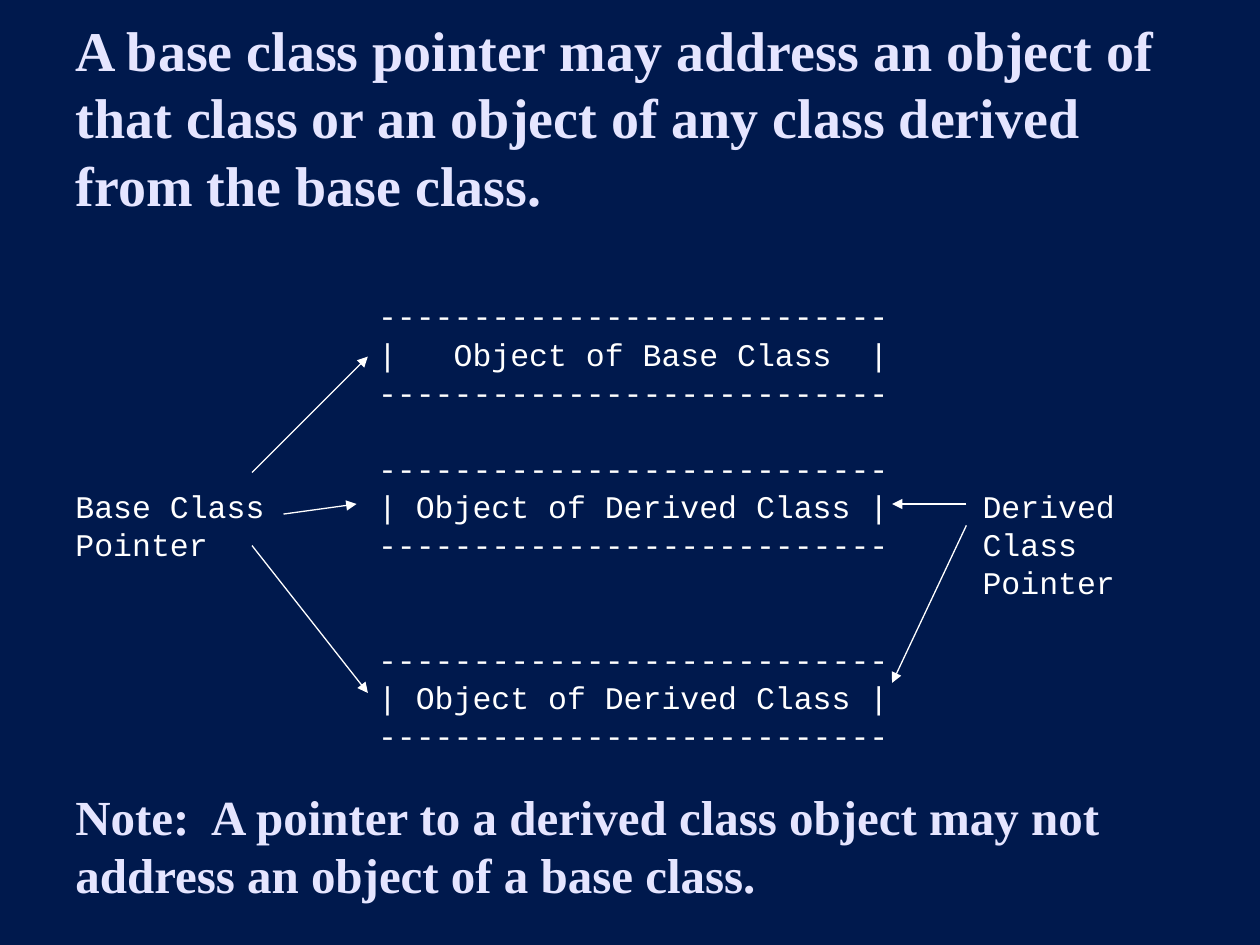
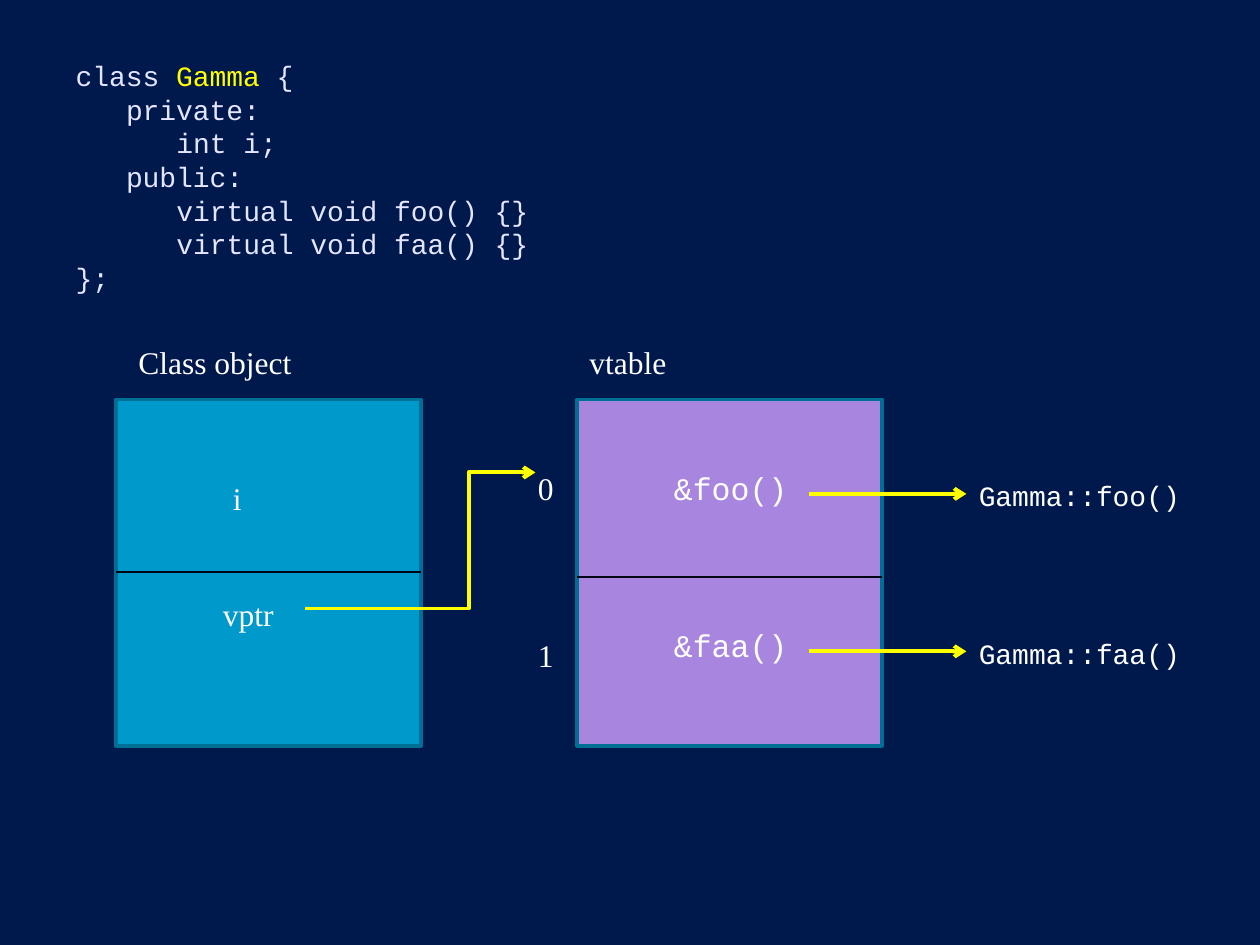
from lxml.etree import SubElement
from pptx import Presentation
from pptx.dml.color import RGBColor
from pptx.enum.shapes import MSO_CONNECTOR as CONN, MSO_SHAPE as SHAPE
from pptx.enum.text import MSO_ANCHOR as ANCHOR, MSO_AUTO_SIZE as FIT, PP_ALIGN as ALIGN
from pptx.oxml.ns import qn
from pptx.util import Inches, Pt

COLORS = {
    "background": "00194D", "title": "E5E5FF", "text": "FFFFFF",
    "highlight": "FFFF00", "object": "0099CC", "vtable": "A886E0",
    "border": "006F95", "divider": "000514",
}
SERIF, MONO = "Times New Roman", "Courier New"
ROW_PITCH = 21.8
CODE_INDENT = 0.4

RULE_TITLE = ("A base class pointer may address an object of that class "
              "or an object of any class derived from the base class.")
RULE_NOTE = ("Note:  A pointer to a derived class object may not "
             "address an object of a base class.")
EDGE = "-" * 27
DERIVED = "| Object of Derived Class |"
OBJECT_BOXES = [
    (0, "|   Object of Base Class  |"),
    (1, DERIVED),
    (2, DERIVED),
]
POINTER_LABELS = [
    (["Base Class", "Pointer"], 0.5, 1.75),
    (["Derived", "Class", "Pointer"], 7.7, 1.5),
]
POINTER_ARROWS = [
    (2, 3.75, 2.92, 2.83), (2.25, 4.08, 2.83, 4), (2, 4.33, 2.92, 5.5),
    (7.67, 4, 7.08, 4), (7.67, 4.17, 7.08, 5.42),
]

CODE = [
    (0, [("class ", "title"), ("Gamma", "highlight"), (" {", "title")]),
    (1, [("private:", "title")]),
    (2, [("int i;", "title")]),
    (1, [("public:", "title")]),
    (2, [("virtual void foo() {}", "title")]),
    (2, [("virtual void faa() {}", "title")]),
    (0, [("};", "title")]),
]
MEMORY_BLOCKS = [(0.92, 4.54, "object"), (4.58, 4.58, "vtable")]
BLOCK_TOP, BLOCK_W, BLOCK_H = 3.17, 2.42, 2.75
LABELS = [
    ("Class object", 1, 2.67, 2.33, SERIF, 18),
    ("vtable", 4.58, 2.67, 2.33, SERIF, 18),
    ("i", 1.75, 3.75, 0.5, SERIF, 18),
    ("vptr", 1.67, 4.67, 1.08, SERIF, 18),
    ("0", 4.17, 3.67, 0.42, SERIF, 18),
    ("1", 4.17, 5, 0.33, SERIF, 18),
    ("&foo()", 5.25, 3.67, 1.25, MONO, 18),
    ("&faa()", 5.25, 4.92, 1.25, MONO, 18),
    ("Gamma::foo()", 7.67, 3.75, 2, MONO, 16),
    ("Gamma::faa()", 7.67, 5, 2, MONO, 16),
]
CALL_ARROW_YS = [3.92, 5.17]


def rgb(name):
    return RGBColor.from_string(COLORS[name])


def add_run(p, text, font=SERIF, size=18, color="text", bold=False):
    r = p.add_run()
    r.text = text
    r.font.name, r.font.size, r.font.bold = font, Pt(size), bold
    r.font.color.rgb = rgb(color)


def next_paragraph(tf, index, pitch, indent=0, before=0):
    p = tf.paragraphs[0] if index == 0 else tf.add_paragraph()
    p.alignment, p.line_spacing = ALIGN.LEFT, Pt(pitch)
    p.space_before, p.space_after = Pt(before), Pt(0)
    pPr = p._p.get_or_add_pPr()
    pPr.set("marL", str(Inches(indent)))
    pPr.set("indent", "0")
    SubElement(pPr, qn("a:buNone"))
    return p


def place(sp, x, y, w, h, anchor=ANCHOR.TOP):
    sp.left, sp.top, sp.width, sp.height = map(Inches, (x, y, w, h))
    tf = sp.text_frame
    tf.word_wrap, tf.auto_size, tf.vertical_anchor = True, FIT.NONE, anchor
    return tf


def add_text(s, lines, x, y, w, h, anchor=ANCHOR.TOP, size=18, **fmt):
    tf = place(s.shapes.add_textbox(0, 0, 0, 0), x, y, w, h, anchor)
    for i, line in enumerate(lines):
        add_run(next_paragraph(tf, i, 1.2 * size), line, size=size, **fmt)


def add_line(s, x1, y1, x2, y2, color="text", width=0.75, head=None, kind=CONN.STRAIGHT):
    c = s.shapes.add_connector(kind, *map(Inches, (x1, y1, x2, y2)))
    c.line.color.rgb, c.line.width = rgb(color), Pt(width)
    spPr = c._element.spPr
    if head:
        SubElement(spPr.find(qn("a:ln")), qn("a:tailEnd"), type=head)
    SubElement(spPr, qn("a:effectLst"))
    return c


def add_slide(prs, layout):
    s = prs.slides.add_slide(prs.slide_layouts[layout])
    s.background.fill.solid()
    s.background.fill.fore_color.rgb = rgb("background")
    return s


def pointer_slide(prs):
    s = add_slide(prs, 1)
    tf = place(s.shapes.title, 0.5, 0.3, 9, 1.25, ANCHOR.MIDDLE)
    add_run(next_paragraph(tf, 0, 38.4), RULE_TITLE, size=32, color="title", bold=True)
    tf = place(s.placeholders[1], 2.9, 2.3, 4.5, 3.75)
    row = 0
    for blank_rows, middle in OBJECT_BOXES:
        for text, gap in ((EDGE, blank_rows), (middle, 0), (EDGE, 0)):
            p = next_paragraph(tf, row, ROW_PITCH, before=gap * ROW_PITCH)
            add_run(p, text, font=MONO)
            row += 1
    for lines, x, w in POINTER_LABELS:
        add_text(s, lines, x, 3.82, w, 1, font=MONO)
    for ends in POINTER_ARROWS:
        add_line(s, *ends, head="triangle")
    add_text(s, [RULE_NOTE], 0.5, 6.33, 9, 0.75, ANCHOR.MIDDLE,
             size=28, color="title", bold=True)


def vtable_slide(prs):
    s = add_slide(prs, 5)
    tf = place(s.shapes.title, 0.5, 0.3, 9, 2.2, ANCHOR.MIDDLE)
    for i, (level, parts) in enumerate(CODE):
        p = next_paragraph(tf, i, 19.2, level * CODE_INDENT)
        for text, color in parts:
            add_run(p, text, font=MONO, size=16, color=color)
    for x, divider_y, color in MEMORY_BLOCKS:
        sp = s.shapes.add_shape(SHAPE.RECTANGLE, *map(Inches, (x, BLOCK_TOP, BLOCK_W, BLOCK_H)))
        sp.shadow.inherit = False
        sp.fill.solid()
        sp.fill.fore_color.rgb = rgb(color)
        sp.line.color.rgb, sp.line.width = rgb("border"), Pt(2)
        add_line(s, x, divider_y, x + BLOCK_W, divider_y, "divider")
    for text, x, y, w, font, size in LABELS:
        add_text(s, [text], x, y, w, 0.4, font=font, size=size)
    arrow = {"color": "highlight", "width": 2.25, "head": "arrow"}
    vptr = add_line(s, 2.42, 4.83, 4.25, 3.75, kind=CONN.ELBOW, **arrow)
    guides = vptr._element.spPr.find(qn("a:prstGeom")).find(qn("a:avLst"))
    SubElement(guides, qn("a:gd"), name="adj1", fmla="val 71000")
    for y in CALL_ARROW_YS:
        add_line(s, 6.42, y, 7.67, y, **arrow)


def main():
    prs = Presentation()
    prs.slide_width, prs.slide_height = Inches(10), Inches(7.5)
    pointer_slide(prs)
    vtable_slide(prs)
    prs.save("out.pptx")


if __name__ == "__main__":
    main()
